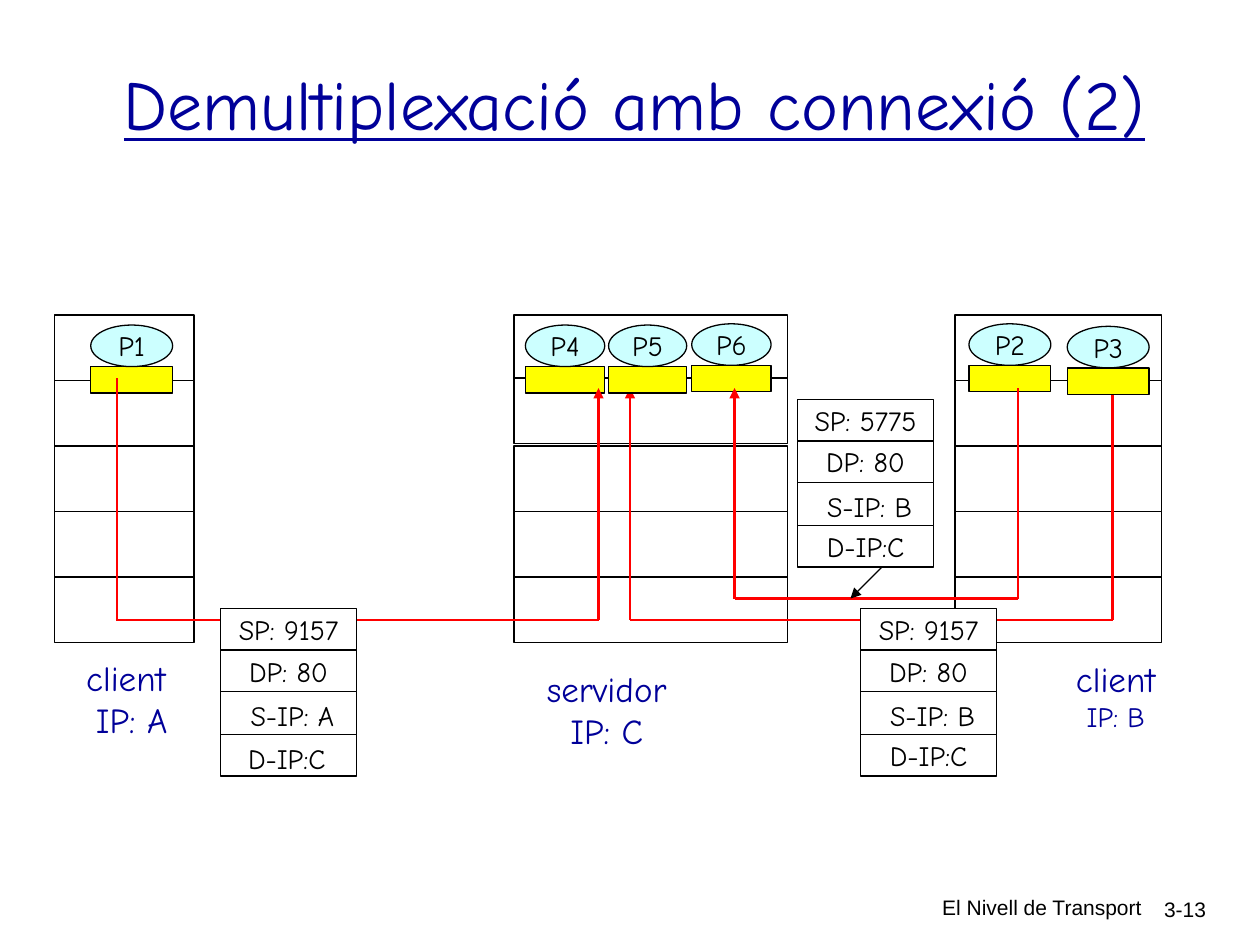
"""Build the slide on connection-oriented demultiplexing."""
from dataclasses import dataclass

from lxml import etree
from pptx import Presentation
from pptx.dml.color import RGBColor
from pptx.enum.shapes import MSO_CONNECTOR, MSO_SHAPE
from pptx.enum.text import MSO_ANCHOR, MSO_AUTO_SIZE, PP_ALIGN
from pptx.oxml.ns import qn
from pptx.shapes.autoshape import Shape
from pptx.slide import Slide
from pptx.text.text import TextFrame
from pptx.util import Emu, Pt

RECTANGLE, OVAL = MSO_SHAPE.RECTANGLE, MSO_SHAPE.OVAL
STRAIGHT = MSO_CONNECTOR.STRAIGHT
TOP, MIDDLE = MSO_ANCHOR.TOP, MSO_ANCHOR.MIDDLE
CENTER, RIGHT = PP_ALIGN.CENTER, PP_ALIGN.RIGHT
NO_FIT = MSO_AUTO_SIZE.NONE

BLACK = RGBColor(0x00, 0x00, 0x00)
WHITE = RGBColor(0xFF, 0xFF, 0xFF)
RED = RGBColor(0xFF, 0x00, 0x00)
YELLOW = RGBColor(0xFF, 0xFF, 0x00)
CYAN = RGBColor(0xCC, 0xFF, 0xFF)
NAVY = RGBColor(0x00, 0x00, 0x99)

HAND, SANS = "Comic Neue", "Arial"
EMU_PER_PX = 9144
HOST_TOP, LAYER_HEIGHT = 250, 52
SOCKET_HEIGHT, PROCESS_HEIGHT = 21, 33
SEGMENT_WIDTH, SEGMENT_HEIGHT = 108, 133


@dataclass(frozen=True)
class Host:
    left: int
    width: int
    layer_offsets: tuple[int, ...] = (0, 52, 104, 156, 208)


@dataclass(frozen=True)
class Process:
    name: str
    left: int
    top: int
    width: int


@dataclass(frozen=True)
class Wire:
    start: tuple[int, int]
    end: tuple[int, int]
    arrow: bool = False
    color: RGBColor = RED
    width: float = 1.5


@dataclass(frozen=True)
class Segment:
    left: int
    top: int
    fields: tuple[str, ...]
    nudges: tuple[tuple[int, int], ...]


@dataclass(frozen=True)
class Label:
    left: int
    top: int
    width: int
    height: int
    lines: tuple[tuple[str, int], ...]
    font: str = HAND
    color: RGBColor = NAVY
    align: PP_ALIGN = CENTER
    wrap: bool = False


HOSTS = (
    Host(43, 111),
    Host(758, 164),
    Host(408, 217, (0, 50, 104, 156, 208)),
)
REAR_PROCESSES = (
    Process("P1", 72, 258, 65),
    Process("P2", 769, 257, 65),
    Process("P4", 417, 258, 63),
)
REAR_WIRES = (
    Wire((93, 300), (93, 492)),
    Wire((883, 300), (883, 492)),
    Wire((475, 492), (475, 308), arrow=True),
    Wire((92, 492), (475, 492)),
    Wire((500, 492), (500, 308), arrow=True),
    Wire((500, 492), (883, 492)),
)
FRONT_PROCESSES = (
    Process("P5", 483, 258, 62),
    Process("P6", 549, 257, 63),
    Process("P3", 847, 259, 65),
)
FRONT_WIRES = (
    Wire((808, 308), (808, 475)),
    Wire((583, 475), (808, 475)),
    Wire((583, 475), (583, 308), arrow=True),
)
POINTER = Wire((700, 450), (675, 475), arrow=True, color=BLACK, width=0.75)
SEGMENTS = (
    Segment(175, 483, ("SP: 9157", "DP: 80", "S-IP: A", "D-IP:C"),
            ((0, 0), (0, 0), (6, 4), (-3, 4))),
    Segment(683, 483, ("SP: 9157", "DP: 80", "S-IP: B", "D-IP:C"),
            ((0, 0), (0, 0), (6, 4), (0, 0))),
    Segment(633, 317, ("SP: 5775", "DP: 80", "S-IP: B", "D-IP:C"),
            ((0, 0), (0, 0), (6, 4), (0, 0))),
)
LABELS = (
    Label(57, 516, 86, 77, (("client", 20), (" IP: A", 20))),
    Label(424, 525, 115, 77, (("servidor", 20), ("IP: C", 20))),
    Label(844, 517, 83, 70, (("client", 20), ("IP: B", 16))),
    Label(599, 705, 317, 31, (("El Nivell de Transport", 12),),
          SANS, BLACK, RIGHT, True),
    Label(893, 707, 74, 30, (("3-13", 12),), SANS, BLACK, RIGHT, True),
)


def px(*lengths: int) -> list[Emu]:
    """Turn pixel lengths into EMU."""
    return [Emu(length * EMU_PER_PX) for length in lengths]


def apply(target: object, values: dict[str, object]) -> None:
    """Set each named attribute of the target."""
    for name, value in values.items():
        setattr(target, name, value)


def write(frame: TextFrame, lines: tuple[tuple[str, int], ...],
          font: str = HAND, color: RGBColor = BLACK,
          align: PP_ALIGN = CENTER, underline: bool = False) -> None:
    """Write one formatted paragraph for each line."""
    for index, (text, size) in enumerate(lines):
        para = frame.add_paragraph() if index else frame.paragraphs[0]
        para.alignment = align
        span = para.add_run()
        span.text = text
        apply(span.font, {"name": font, "size": Pt(size),
                          "underline": underline})
        span.font.color.rgb = color


def draw_box(page: Slide, kind: MSO_SHAPE, bounds: tuple[int, ...],
             fill: RGBColor, text: str = "",
             nudge: tuple[int, int] = (0, 0)) -> Shape:
    """Draw an outlined shape with optional centred text."""
    box = page.shapes.add_shape(kind, *px(*bounds))
    box.shadow.inherit = False
    box.fill.solid()
    box.fill.fore_color.rgb = fill
    box.line.color.rgb = BLACK
    box.line.width = Pt(0.75)
    if text:
        left, top, right, bottom = px(10 + nudge[0], 5 + nudge[1], 10, 5)
        apply(box.text_frame, {
            "margin_left": left, "margin_top": top, "margin_right": right,
            "margin_bottom": bottom, "word_wrap": False,
            "vertical_anchor": MIDDLE})
        write(box.text_frame, ((text, 16),))
    return box


def draw_host(page: Slide, host: Host) -> None:
    """Draw the protocol layers of a host."""
    for offset in host.layer_offsets:
        draw_box(page, RECTANGLE,
                 (host.left, HOST_TOP + offset, host.width, LAYER_HEIGHT), WHITE)


def draw_process(page: Slide, process: Process) -> None:
    """Draw a process above its socket."""
    left, top, width = process.left, process.top, process.width
    draw_box(page, RECTANGLE,
             (left, top + PROCESS_HEIGHT, width, SOCKET_HEIGHT), YELLOW)
    draw_box(page, OVAL, (left, top, width, PROCESS_HEIGHT), CYAN, process.name)


def draw_wire(page: Slide, wire: Wire) -> None:
    """Draw a straight wire with an optional arrowhead."""
    line = page.shapes.add_connector(STRAIGHT, *px(*wire.start, *wire.end))
    line.line.color.rgb = wire.color
    line.line.width = Pt(wire.width)
    if wire.arrow:
        etree.SubElement(line.line._get_or_add_ln(), qn("a:tailEnd"),
                         type="triangle")
    etree.SubElement(line._element.spPr, qn("a:effectLst"))


def draw_segment(page: Slide, segment: Segment) -> None:
    """Draw the stacked header fields of a segment."""
    count = len(segment.fields)
    edges = [segment.top + round(SEGMENT_HEIGHT * row / count)
             for row in range(count + 1)]
    for row, (text, nudge) in enumerate(zip(segment.fields, segment.nudges)):
        bounds = (segment.left, edges[row], SEGMENT_WIDTH,
                  edges[row + 1] - edges[row])
        draw_box(page, RECTANGLE, bounds, WHITE, text, nudge)


def draw_label(page: Slide, label: Label) -> None:
    """Draw a free-standing label."""
    box = page.shapes.add_textbox(
        *px(label.left, label.top, label.width, label.height))
    apply(box.text_frame, {"word_wrap": label.wrap, "vertical_anchor": TOP})
    write(box.text_frame, label.lines, label.font, label.color, label.align)


def main() -> None:
    """Assemble and save the deck."""
    deck = Presentation()
    deck.slide_width, deck.slide_height = px(1000, 750)
    page = deck.slides.add_slide(deck.slide_layouts[5])
    title = page.shapes.title
    apply(title, dict(zip(("left", "top", "width", "height"),
                          px(34, 19, 939, 125))))
    apply(title.text_frame, {"vertical_anchor": MIDDLE, "auto_size": NO_FIT})
    write(title.text_frame, (("Demultiplexació amb connexió (2)", 40),),
          color=NAVY, underline=True)
    for draw, items in (
            (draw_host, HOSTS), (draw_process, REAR_PROCESSES),
            (draw_wire, REAR_WIRES), (draw_process, FRONT_PROCESSES),
            (draw_wire, FRONT_WIRES), (draw_segment, SEGMENTS),
            (draw_wire, (POINTER,)), (draw_label, LABELS)):
        for item in items:
            draw(page, item)
    deck.save("out.pptx")


if __name__ == "__main__":
    main()
